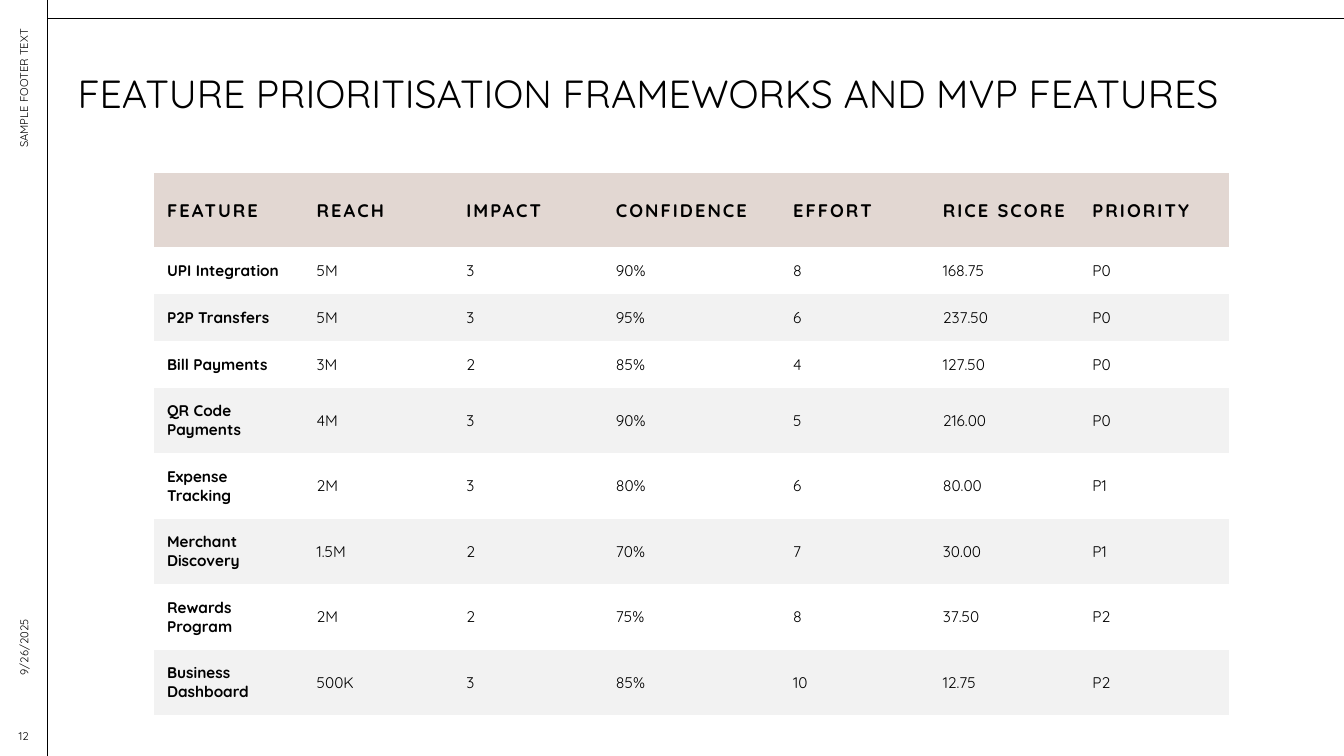
"""Build a slide with a RICE prioritisation table for MVP features."""
from lxml.etree import SubElement
from pptx import Presentation
from pptx.dml.color import RGBColor
from pptx.enum.text import MSO_ANCHOR, MSO_AUTO_SIZE, PP_ALIGN
from pptx.oxml.ns import qn
from pptx.util import Cm, Pt

BLACK = RGBColor(0x00, 0x00, 0x00)
ROSE = RGBColor(0xE2, 0xD7, 0xD2)
PALE_GREY = RGBColor(0xF2, 0xF2, 0xF2)
FONT = "Quicksand"
NO_STYLE_NO_GRID = "{2D5ABB26-0587-4C30-8999-92F81FD0307C}"

FEATURES = [
    ("FEATURE", "REACH", "IMPACT", "CONFIDENCE", "EFFORT", "RICE SCORE", "PRIORITY"),
    ("UPI Integration", "5M", "3", "90%", "8", "168.75", "P0"),
    ("P2P Transfers", "5M", "3", "95%", "6", "237.50", "P0"),
    ("Bill Payments", "3M", "2", "85%", "4", "127.50", "P0"),
    ("QR Code Payments", "4M", "3", "90%", "5", "216.00", "P0"),
    ("Expense Tracking", "2M", "3", "80%", "6", "80.00", "P1"),
    ("Merchant Discovery", "1.5M", "2", "70%", "7", "30.00", "P1"),
    ("Rewards Program", "2M", "2", "75%", "8", "37.50", "P2"),
    ("Business Dashboard", "500K", "3", "85%", "10", "12.75", "P2"),
]
COLUMN_WIDTHS = [3.77] * 3 + [4.47] + [3.77] * 3
ROW_HEIGHTS = [1.86] + [1.18] * 3 + [1.65] * 5


def style_run(paragraph, size, bold=False):
    run = paragraph.runs[0]
    run.font.name = FONT
    run.font.size = Pt(size)
    run.font.bold = bold
    run.font.color.rgb = BLACK
    return run


presentation = Presentation()
presentation.slide_width = Cm(33.87)
presentation.slide_height = Cm(19.05)
slide = presentation.slides.add_slide(presentation.slide_layouts[5])

for start_x, start_y, end_x, end_y in [(1.19, 0.46, 33.87, 0.46), (1.19, 0, 1.19, 19.05)]:
    frame_rule = slide.shapes.add_connector(1, Cm(start_x), Cm(start_y), Cm(end_x), Cm(end_y))
    frame_rule.line.color.rgb = BLACK
    frame_rule.line.width = Pt(0.5)
    SubElement(frame_rule._element.spPr, qn("a:effectLst"))

title = slide.shapes.title
title.left, title.top, title.width, title.height = Cm(1.7), Cm(1.75), Cm(31.45), Cm(2.11)
title.text_frame.text = "FEATURE PRIORITISATION FRAMEWORKS AND MVP FEATURES"
title.text_frame.vertical_anchor = MSO_ANCHOR.TOP
title.text_frame.auto_size = MSO_AUTO_SIZE.NONE
heading = title.text_frame.paragraphs[0]
heading.alignment = PP_ALIGN.LEFT
heading.line_spacing = 0.9
style_run(heading, 28)

MARGIN_NOTES = [
    ("SAMPLE FOOTER TEXT", -5.74, 6.22, 12.67, 1.19, 270, PP_ALIGN.RIGHT),
    ("9/26/2025", -1.47, 14.6, 4.14, 1.19, 270, PP_ALIGN.LEFT),
    ("12", 0, 18.03, 1.19, 1.02, 0, PP_ALIGN.CENTER),
]
for wording, left, top, width, height, rotation, alignment in MARGIN_NOTES:
    margin_note = slide.shapes.add_textbox(Cm(left), Cm(top), Cm(width), Cm(height))
    margin_note.rotation = rotation
    margin_note.text_frame.word_wrap = True
    margin_note.text_frame.vertical_anchor = MSO_ANCHOR.MIDDLE
    margin_note.text_frame.text = wording
    note_line = margin_note.text_frame.paragraphs[0]
    note_line.alignment = alignment
    note_line.space_after = Pt(6)
    style_run(note_line, 8)

rice_table = slide.shapes.add_table(
    len(FEATURES), len(COLUMN_WIDTHS), Cm(3.89), Cm(4.37),
    Cm(sum(COLUMN_WIDTHS)), Cm(sum(ROW_HEIGHTS))).table
rice_table.first_row = False
rice_table.horz_banding = False
rice_table._tbl.tblPr.find(qn("a:tableStyleId")).text = NO_STYLE_NO_GRID
for column, width in zip(rice_table.columns, COLUMN_WIDTHS):
    column.width = Cm(width)
for row, height in zip(rice_table.rows, ROW_HEIGHTS):
    row.height = Cm(height)

for row_index, feature in enumerate(FEATURES):
    is_header = row_index == 0
    for column_index, entry in enumerate(feature):
        cell = rice_table.cell(row_index, column_index)
        cell.margin_left = cell.margin_right = cell.margin_top = cell.margin_bottom = Cm(0.32)
        cell.vertical_anchor = MSO_ANCHOR.MIDDLE
        if row_index % 2 and not is_header:
            cell.fill.background()
        else:
            cell.fill.solid()
            cell.fill.fore_color.rgb = ROSE if is_header else PALE_GREY
        cell.text_frame.text = entry
        run = style_run(cell.text_frame.paragraphs[0], 13 if is_header else 11,
                        is_header or column_index == 0)
        if is_header:
            run.font._element.set("spc", "150")

presentation.save("out.pptx")
